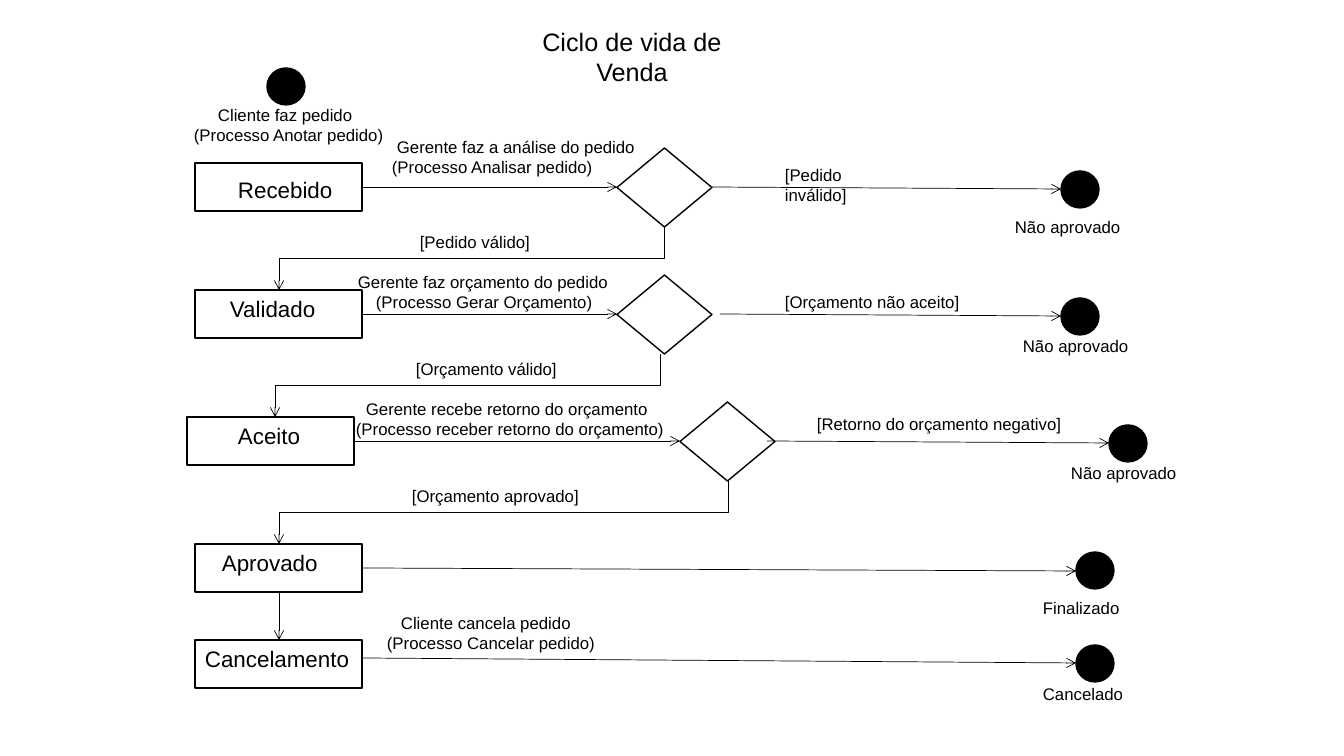
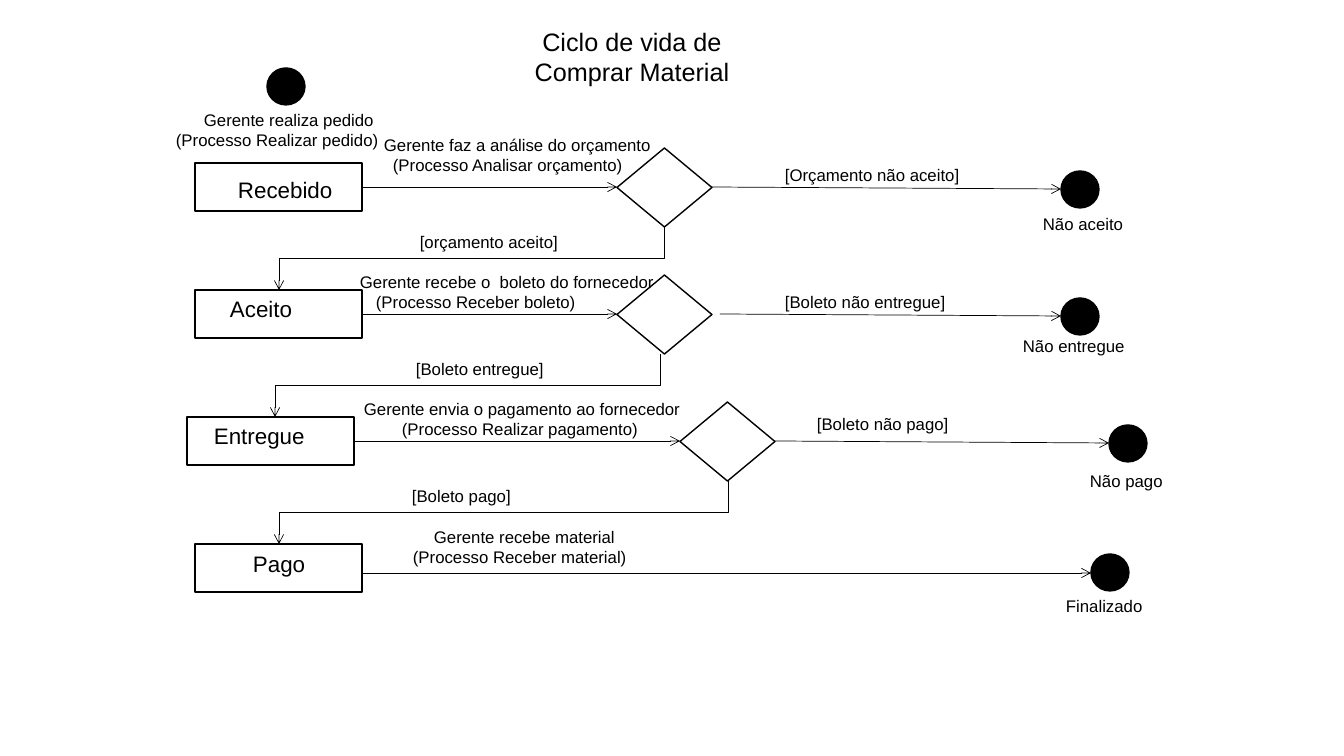
from dataclasses import dataclass

from lxml.etree import SubElement
from pptx import Presentation
from pptx.dml.color import RGBColor
from pptx.enum.shapes import MSO_CONNECTOR, MSO_SHAPE
from pptx.enum.text import MSO_ANCHOR, PP_ALIGN
from pptx.oxml.ns import qn
from pptx.util import Pt

SCALE = 914400 / 100.8
BLACK, WHITE = "000000", "FFFFFF"
FONT = "Arial"
TITLE_SIZE, STATE_SIZE, CAPTION_SIZE = 18, 16, 12
INSET = 10
FIRST_ROW, ROW_PITCH = 163, 127
STATE_WIDTH, STATE_HEIGHT = 167, 48
DECISION_WIDTH, DECISION_HEIGHT = 95, 79
DOT_WIDTH, DOT_HEIGHT = 38, 37


@dataclass
class Lane:
    """Horizontal places that a row has in every life cycle."""
    state: int
    decision: int
    end: int
    turn: int
    entry: int
    refused: int
    refused_rise: int
    accepted: int


@dataclass
class Step:
    """Wording of a row with a decision; pairs are text and left edge."""
    state: str
    state_inset: tuple
    event: tuple
    event_rise: int
    accepted: str
    refused: str
    refused_width: int
    branch: int
    outcome: tuple


@dataclass
class Closing:
    """Wording and places of a row that runs straight to an end."""
    state: str
    state_inset: tuple
    top: int
    event: tuple
    event_rise: int
    end: tuple
    arrow_rows: tuple
    outcome: tuple


LANES = [
    Lane(195, 617, 1061, 664, 279, 775, 3, 410),
    Lane(195, 617, 1061, 660, 275, 775, 3, 406),
    Lane(187, 680, 1109, 728, 279, 807, 8, 402),
]

SALE = {
    "title": "Ciclo de vida de Venda",
    "start": (100, (("Cliente faz pedido", 218), ("(Processo Anotar pedido)", 194))),
    "steps": [
        Step("Recebido", (43, 13),
             (("Gerente faz a análise do pedido", 397), ("(Processo Analisar pedido)", 392)),
             31, "[Pedido válido]", "[Pedido inválido]", 143, 712,
             ("Não aprovado", 1005, 49)),
        Step("Validado", (35, 5),
             (("Gerente faz orçamento do pedido", 358), ("(Processo Gerar Orçamento)", 376)),
             23, "[Orçamento válido]", "[Orçamento não aceito]", 207, 720,
             ("Não aprovado", 1013, 41)),
        Step("Aceito", (51, 5),
             (("Gerente recebe retorno do orçamento", 366),
              ("(Processo receber retorno do orçamento)", 356)),
             23, "[Orçamento aprovado]", "[Retorno do orçamento negativo]", 278, 767,
             ("Não aprovado", 1061, 41)),
    ],
    "closings": [
        Closing("Aprovado", (27, 5), 544, (), 0, (1076, 8), (24, 27),
                ("Finalizado", 1033, 49)),
        Closing("Cancelamento", (10, 5), 640,
                (("Cliente cancela pedido", 401), ("(Processo Cancelar pedido)", 387)),
                32, (1076, 5), (18, 23), ("Cancelado", 1033, 39)),
    ],
}

PURCHASE = {
    "title": "Ciclo de vida de Comprar Material",
    "start": (105, (("Gerente realiza pedido", 204), ("(Processo Realizar pedido)", 176))),
    "steps": [
        Step("Recebido", (43, 13),
             (("Gerente faz a análise do orçamento", 384), ("(Processo Analisar orçamento)", 393)),
             33, "[orçamento aceito]", "[Orçamento não aceito]", 217, 712,
             ("Não aceito", 1033, 46)),
        Step("Aceito", (35, 5),
             (("Gerente recebe o  boleto do fornecedor", 360), ("(Processo Receber boleto)", 376)),
             23, "[Boleto entregue]", "[Boleto não entregue]", 207, 720,
             ("Não entregue", 1013, 41)),
        Step("Entregue", (27, 5),
             (("Gerente envia o pagamento ao fornecedor", 364),
              ("(Processo Realizar pagamento)", 402)),
             23, "[Boleto pago]", "[Boleto não pago]", 278, 775,
             ("Não pago", 1080, 49)),
    ],
    "closings": [
        Closing("Pago", (58, 6), 544,
                (("Gerente recebe material", 434), ("(Processo Receber material)", 413)),
                22, (1091, 10), (29, 29), ("Finalizado", 1056, 47)),
    ],
}


def px(length):
    """Turn pixels into EMU."""
    return round(length * SCALE)


def color(value):
    """Turn a hex string into a colour."""
    return RGBColor.from_string(value)


def assign(target, values):
    """Set each attribute named in a dict of format values."""
    for key, value in values.items():
        setattr(target, key, value)


def write(paragraph, text, size):
    """Put one black run in a paragraph."""
    run = paragraph.add_run()
    run.text = text
    assign(run.font, {"name": FONT, "size": Pt(size)})
    run.font.color.rgb = color(BLACK)


def label(slide, box, text, size=CAPTION_SIZE, align=PP_ALIGN.LEFT):
    """Place a single wrapped paragraph in a box."""
    frame = slide.shapes.add_textbox(*map(px, box)).text_frame
    frame.word_wrap = True
    paragraph = frame.paragraphs[0]
    paragraph.alignment = align
    write(paragraph, text, size)


def event_note(slide, top, lines):
    """Place event lines, each indented to its own left edge."""
    left = min(edge for _, edge in lines)
    box = left - INSET, top, 360, 50
    frame = slide.shapes.add_textbox(*map(px, box)).text_frame
    frame.word_wrap = True
    for index, (text, edge) in enumerate(lines):
        paragraph = frame.add_paragraph() if index else frame.paragraphs[0]
        properties = paragraph._p.get_or_add_pPr()
        properties.set("marL", str(px(edge - left)))
        properties.set("indent", "0")
        write(paragraph, text, CAPTION_SIZE)


def node(slide, kind, box, fill=WHITE):
    """Place a black-outlined shape."""
    shape = slide.shapes.add_shape(kind, *map(px, box))
    shape.shadow.inherit = False
    shape.fill.solid()
    shape.fill.fore_color.rgb = color(fill)
    shape.line.color.rgb = color(BLACK)
    shape.line.width = Pt(1)
    return shape


def dot(slide, left, top):
    """Place a start or end point."""
    node(slide, MSO_SHAPE.FLOWCHART_CONNECTOR, (left, top, DOT_WIDTH, DOT_HEIGHT), BLACK)


def state(slide, left, top, name, inset):
    """Place a state with its name inset from the corner."""
    shape = node(slide, MSO_SHAPE.RECTANGLE, (left, top, STATE_WIDTH, STATE_HEIGHT))
    frame = shape.text_frame
    assign(frame, {
        "margin_left": px(inset[0]), "margin_top": px(inset[1]),
        "margin_right": 0, "margin_bottom": 0,
        "vertical_anchor": MSO_ANCHOR.TOP, "word_wrap": True,
    })
    frame.paragraphs[0].alignment = PP_ALIGN.LEFT
    write(frame.paragraphs[0], name, STATE_SIZE)


def arrow(slide, start, end, kind=MSO_CONNECTOR.STRAIGHT):
    """Draw a thin line with an open arrowhead."""
    connector = slide.shapes.add_connector(kind, *map(px, start + end))
    connector.line.color.rgb = color(BLACK)
    connector.line.width = Pt(0.5)
    properties = connector._element.spPr
    SubElement(properties.find(qn("a:ln")), qn("a:tailEnd"), type="arrow")
    SubElement(properties, qn("a:effectLst"))
    return connector


def return_arrow(slide, start, end):
    """Draw an elbow that leaves downwards and enters from above."""
    middle_x, middle_y = (start[0] + end[0]) / 2, (start[1] + end[1]) / 2
    half_width, half_height = (start[0] - end[0]) / 2, (end[1] - start[1]) / 2
    connector = arrow(slide, (middle_x - half_height, middle_y - half_width),
                      (middle_x + half_height, middle_y + half_width), MSO_CONNECTOR.ELBOW)
    connector._element.spPr.find(qn("a:xfrm")).set("rot", "5400000")


def decision_row(slide, top, lane, step):
    """Place a state, its decision, both ways out and their wording."""
    axis = top + STATE_HEIGHT // 2
    state(slide, lane.state, top, step.state, step.state_inset)
    node(slide, MSO_SHAPE.DIAMOND,
         (lane.decision, top - 15, DECISION_WIDTH, DECISION_HEIGHT))
    dot(slide, lane.end, top + 8)
    arrow(slide, (lane.state + STATE_WIDTH, axis), (lane.decision, axis))
    arrow(slide, (step.branch, axis), (lane.end, axis + 2))
    return_arrow(slide, (lane.turn, top + 64), (lane.entry, top + ROW_PITCH))
    event_note(slide, top - step.event_rise, step.event)
    label(slide, (lane.accepted, top + 64, 195, 30), step.accepted)
    label(slide, (lane.refused, top - lane.refused_rise, step.refused_width, 30), step.refused)
    outcome, left, drop = step.outcome
    label(slide, (left, top + drop, 143, 30), outcome)


def closing_row(slide, left, closing):
    """Place a state that leads straight to an end."""
    top = closing.top
    end_left, end_drop = closing.end
    leave, arrive = closing.arrow_rows
    state(slide, left, top, closing.state, closing.state_inset)
    dot(slide, end_left, top + end_drop)
    arrow(slide, (left + STATE_WIDTH, top + leave), (end_left, top + arrive))
    if closing.event:
        event_note(slide, top - closing.event_rise, closing.event)
    outcome, outcome_left, drop = closing.outcome
    label(slide, (outcome_left, top + drop, 143, 30), outcome)


def life_cycle(slide, cycle):
    """Build a slide that shows one life cycle."""
    label(slide, (497, 21, 270, 71), cycle["title"], TITLE_SIZE, PP_ALIGN.CENTER)
    dot(slide, 267, 68)
    event_note(slide, *cycle["start"])
    for index, (lane, step) in enumerate(zip(LANES, cycle["steps"])):
        decision_row(slide, FIRST_ROW + index * ROW_PITCH, lane, step)
    closings = cycle["closings"]
    for closing in closings:
        closing_row(slide, LANES[0].state, closing)
    for above, below in zip(closings, closings[1:]):
        arrow(slide, (279, above.top + STATE_HEIGHT), (279, below.top))


presentation = Presentation()
assign(presentation, {"slide_width": px(1344), "slide_height": px(756)})
for life in (SALE, PURCHASE):
    life_cycle(presentation.slides.add_slide(presentation.slide_layouts[6]), life)
presentation.save("out.pptx")
